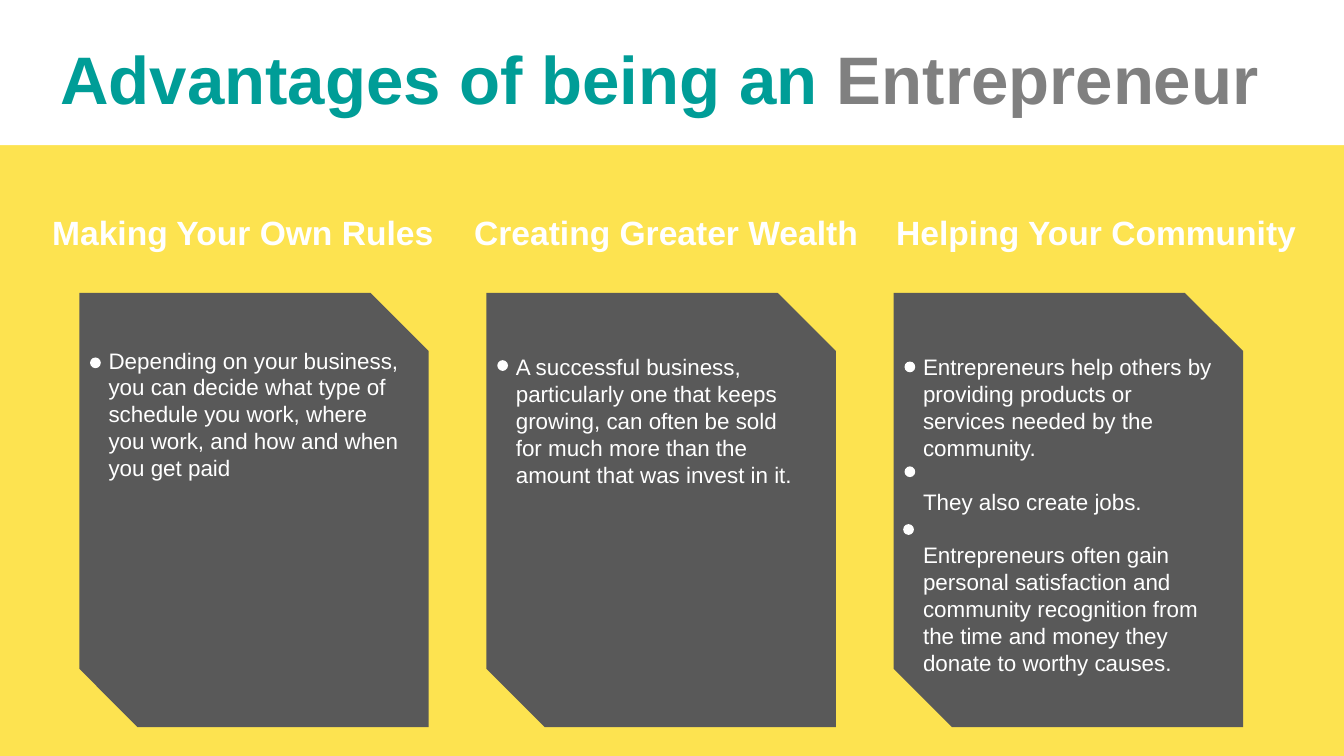
from dataclasses import dataclass

from pptx import Presentation
from pptx.dml.color import RGBColor
from pptx.enum.shapes import MSO_SHAPE as Shape
from pptx.util import Inches, Pt


@dataclass(frozen=True)
class Theme:
    """Colours, font and type sizes of the slide."""
    yellow: str = "FDE350"
    white: str = "FFFFFF"
    card: str = "595959"
    teal: str = "009D97"
    gray: str = "808080"
    font: str = "Arial"
    title: float = 36
    heading: float = 18
    body: float = 12
    gap: float = 14.4


T = Theme()
CARD_LEFT, CARD_PITCH = 0.59, 3.03
HEAD_LEFT, HEAD_PITCH = 0.29, 3.14
DOT = 0.08

COLUMNS = [
    ("Making Your Own Rules", 3.07, 2.53, 1.41,
     ["Depending on your business, you can decide what type of schedule you work, "
      "where you work, and how and when you get paid"], [(0.08, 2.66)]),
    ("Creating Greater Wealth", 3.07, 2.58, 1.11,
     ["A successful business, particularly one that keeps growing, can often be sold "
      "for much more than the amount that was invest in it."], [(0.08, 2.68)]),
    ("Helping Your Community", 3.19, 2.58, 2.56,
     ["Entrepreneurs help others by providing products or services needed by the community.",
      "They also create jobs.",
      "Entrepreneurs often gain personal satisfaction and community recognition from "
      "the time and money they donate to worthy causes."],
     [(0.08, 2.69), (0.08, 3.47), (0.07, 3.9)]),
]


def add_block(s, kind, x, y, w, h, color):
    """Add a plain filled shape without outline or shadow."""
    sp = s.shapes.add_shape(kind, Inches(x), Inches(y), Inches(w), Inches(h))
    sp.shadow.inherit = False
    sp.fill.solid()
    sp.fill.fore_color.rgb = RGBColor.from_string(color)
    sp.line.fill.background()


def style_run(r, size, color, bold):
    """Set the font of one run."""
    r.font.name, r.font.size, r.font.bold = T.font, Pt(size), bold
    r.font.color.rgb = RGBColor.from_string(color)


def add_text(s, x, y, w, h, paragraphs, size, bold=False, wrap=True):
    """Add a text box; each paragraph is a list of (text, colour) runs."""
    tf = s.shapes.add_textbox(Inches(x), Inches(y), Inches(w), Inches(h)).text_frame
    tf.word_wrap = wrap
    for i, runs in enumerate(paragraphs):
        p = tf.add_paragraph() if i else tf.paragraphs[0]
        if i:
            p.space_before = Pt(T.gap)
        for text, color in runs:
            r = p.add_run()
            r.text = text
            style_run(r, size, color, bold)


def add_column(s, i, heading, head_w, text_y, text_h, paragraphs, dots):
    """Add one advantage: heading, card, text and round markers."""
    x = CARD_LEFT + i * CARD_PITCH
    add_block(s, Shape.SNIP_2_DIAG_RECTANGLE, x, 2.18, 2.6, 3.23, T.card)
    add_text(s, HEAD_LEFT + i * HEAD_PITCH, 1.53, head_w, 0.4,
             [[(heading, T.white)]], T.heading, bold=True, wrap=False)
    add_text(s, x + 0.12, text_y, 2.36, text_h,
             [[(text, T.white)] for text in paragraphs], T.body)
    for dx, y in dots:
        add_block(s, Shape.OVAL, x + dx, y, DOT, DOT, T.white)


def main():
    """Build and save the slide."""
    prs = Presentation()
    prs.slide_width, prs.slide_height = Inches(10), Inches(10) * 9 // 16
    s = prs.slides.add_slide(prs.slide_layouts[6])
    s.background.fill.solid()
    s.background.fill.fore_color.rgb = RGBColor.from_string(T.yellow)
    add_block(s, Shape.RECTANGLE, 0, 0, 10, 1.08, T.white)
    add_text(s, 0.35, 0.23, 10, 0.31,
             [[("Advantages of being an ", T.teal), ("Entrepreneur", T.gray)]],
             T.title, bold=True)
    for i, column in enumerate(COLUMNS):
        add_column(s, i, *column)
    prs.save("out.pptx")


if __name__ == "__main__":
    main()
